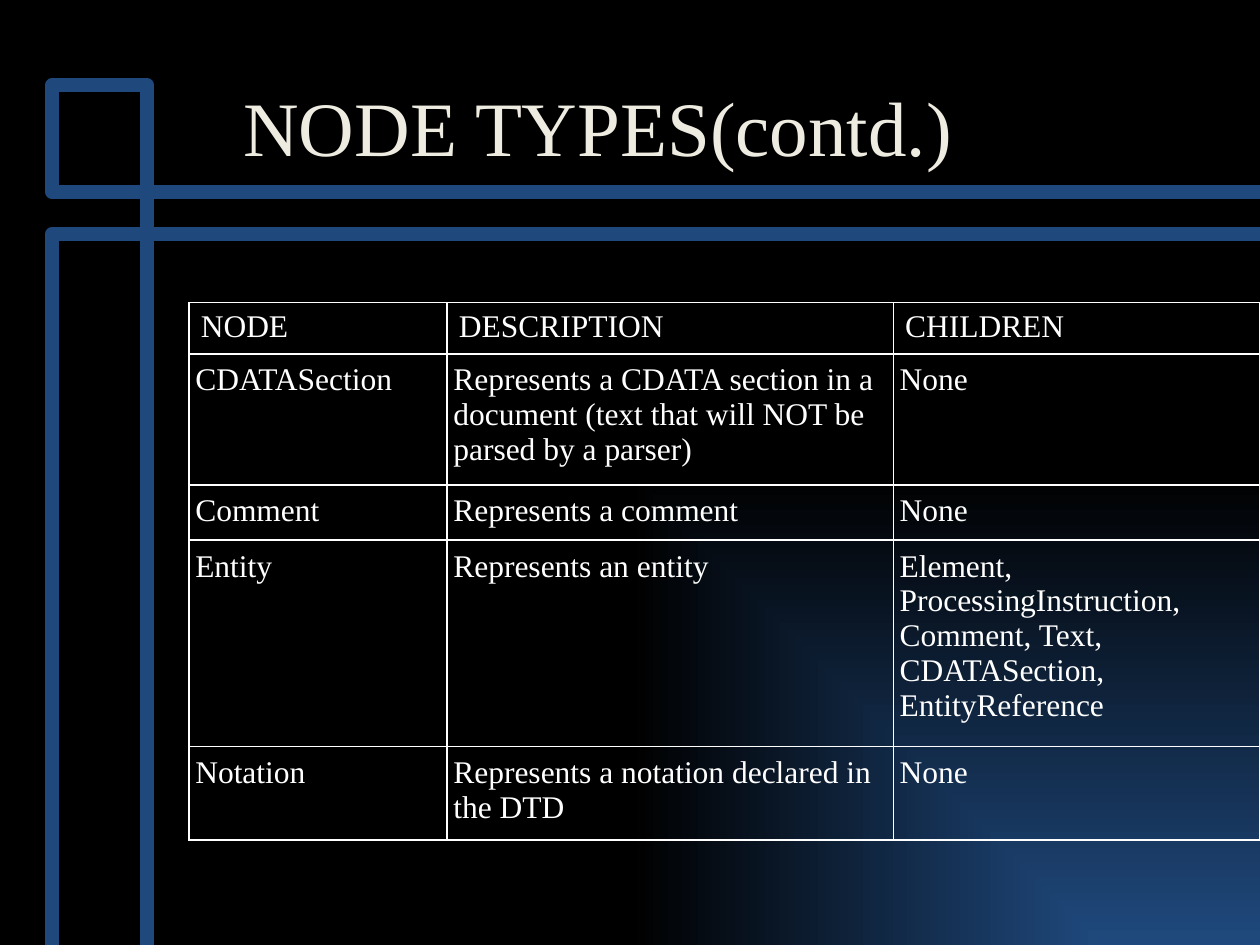
"""Builds the slide listing further DOM node types in a table."""
from dataclasses import dataclass

from lxml.etree import SubElement
from pptx import Presentation
from pptx.dml.color import RGBColor
from pptx.enum.text import MSO_ANCHOR
from pptx.oxml import parse_xml
from pptx.oxml.ns import nsdecls, qn
from pptx.slide import Slide
from pptx.table import _Cell
from pptx.text.text import TextFrame
from pptx.util import Pt

BLUE, BLACK, WHITE, CREAM = "1F497D", "000000", "FFFFFF", "EEECE1"
FONT = "Times New Roman"
COLUMN_WIDTHS = (147.5, 255, 209.5)
ROW_HEIGHT = 29.3


@dataclass(frozen=True)
class NodeType:
    node: str
    description: str
    children: str


HEADINGS = NodeType("NODE", "DESCRIPTION", "CHILDREN")
NODE_TYPES = (
    NodeType(
        "CDATASection",
        "Represents a CDATA section in a document (text that will NOT be parsed by a parser)",
        "None",
    ),
    NodeType("Comment", "Represents a comment", "None"),
    NodeType(
        "Entity",
        "Represents an entity",
        "Element, ProcessingInstruction, Comment, Text, CDATASection, EntityReference",
    ),
    NodeType("Notation", "Represents a notation declared in the DTD", "None"),
)
FRAME_LINES = (
    ((721.5, 133.75), (29.75, 133.75), (29.75, 540)),
    ((84, 540), (84, 48.75), (29.75, 48.75), (29.75, 109.75), (721.5, 109.75)),
)


def rgb(hex_colour: str) -> RGBColor:
    return RGBColor.from_string(hex_colour)


def write(frame: TextFrame, text: str, *, size: float, colour: str,
          margins: tuple[float, float]) -> None:
    side, edge = margins
    frame.margin_left = frame.margin_right = Pt(side)
    frame.margin_top = frame.margin_bottom = Pt(edge)
    run = frame.paragraphs[0].add_run()
    run.text = text
    run.font.name, run.font.size = FONT, Pt(size)
    run.font.color.rgb = rgb(colour)


def paint_background(slide: Slide) -> None:
    background = parse_xml(
        f'<p:bg {nsdecls("p", "a")}><p:bgPr><a:gradFill rotWithShape="0"><a:gsLst>'
        f'<a:gs pos="0"><a:srgbClr val="{BLUE}"/></a:gs>'
        f'<a:gs pos="100000"><a:srgbClr val="{BLACK}"/></a:gs></a:gsLst>'
        '<a:path path="rect"><a:fillToRect l="100000" t="100000"/></a:path>'
        '</a:gradFill><a:effectLst/></p:bgPr></p:bg>'
    )
    slide.element.cSld.insert(0, background)


def draw_frame_line(slide: Slide, points: tuple[tuple[float, float], ...]) -> None:
    start, *rest = [(Pt(x), Pt(y)) for x, y in points]
    builder = slide.shapes.build_freeform(*start)
    builder.add_line_segments(rest, close=False)
    bar = builder.convert_to_shape()
    bar.shadow.inherit = False
    bar.fill.background()
    bar.line.color.rgb = rgb(BLUE)
    bar.line.width = Pt(8)
    SubElement(bar.line._get_or_add_ln(), qn("a:round"))


def draw_title(slide: Slide) -> None:
    title = slide.shapes.add_textbox(Pt(96), Pt(16.5), Pt(612), Pt(85.5)).text_frame
    title.word_wrap = True
    title.vertical_anchor = MSO_ANCHOR.BOTTOM
    write(title, "\tNODE TYPES(contd.)", size=44, colour=CREAM, margins=(7.2, 3.6))


def border_cell(cell: _Cell) -> None:
    properties = cell._tc.get_or_add_tcPr()
    for position, side in enumerate(("lnL", "lnR", "lnT", "lnB")):
        properties.insert(position, parse_xml(
            f'<a:{side} {nsdecls("a")} w="{Pt(1)}"><a:solidFill>'
            f'<a:srgbClr val="{WHITE}"/></a:solidFill></a:{side}>'
        ))


def draw_node_table(slide: Slide) -> None:
    entries = (HEADINGS, *NODE_TYPES)
    table = slide.shapes.add_table(
        len(entries), len(COLUMN_WIDTHS), Pt(108), Pt(173),
        Pt(sum(COLUMN_WIDTHS)), Pt(ROW_HEIGHT * len(entries)),
    ).table
    table.first_row = table.horz_banding = False
    for column, width in zip(table.columns, COLUMN_WIDTHS):
        column.width = Pt(width)
    for row, entry in zip(table.rows, entries):
        row.height = Pt(ROW_HEIGHT)
        margins = (6.75, 3.6) if entry is HEADINGS else (3.6, 5)
        for cell, text in zip(row.cells, (entry.node, entry.description, entry.children)):
            cell.fill.background()
            border_cell(cell)
            write(cell.text_frame, text, size=18, colour=WHITE, margins=margins)
            cell.margin_left = cell.margin_right = Pt(margins[0])
            cell.margin_top = cell.margin_bottom = Pt(margins[1])


def main() -> None:
    presentation = Presentation()
    presentation.slide_width, presentation.slide_height = Pt(720), Pt(540)
    slide = presentation.slides.add_slide(presentation.slide_layouts[6])
    paint_background(slide)
    for points in FRAME_LINES:
        draw_frame_line(slide, points)
    draw_title(slide)
    draw_node_table(slide)
    presentation.save("out.pptx")


if __name__ == "__main__":
    main()
